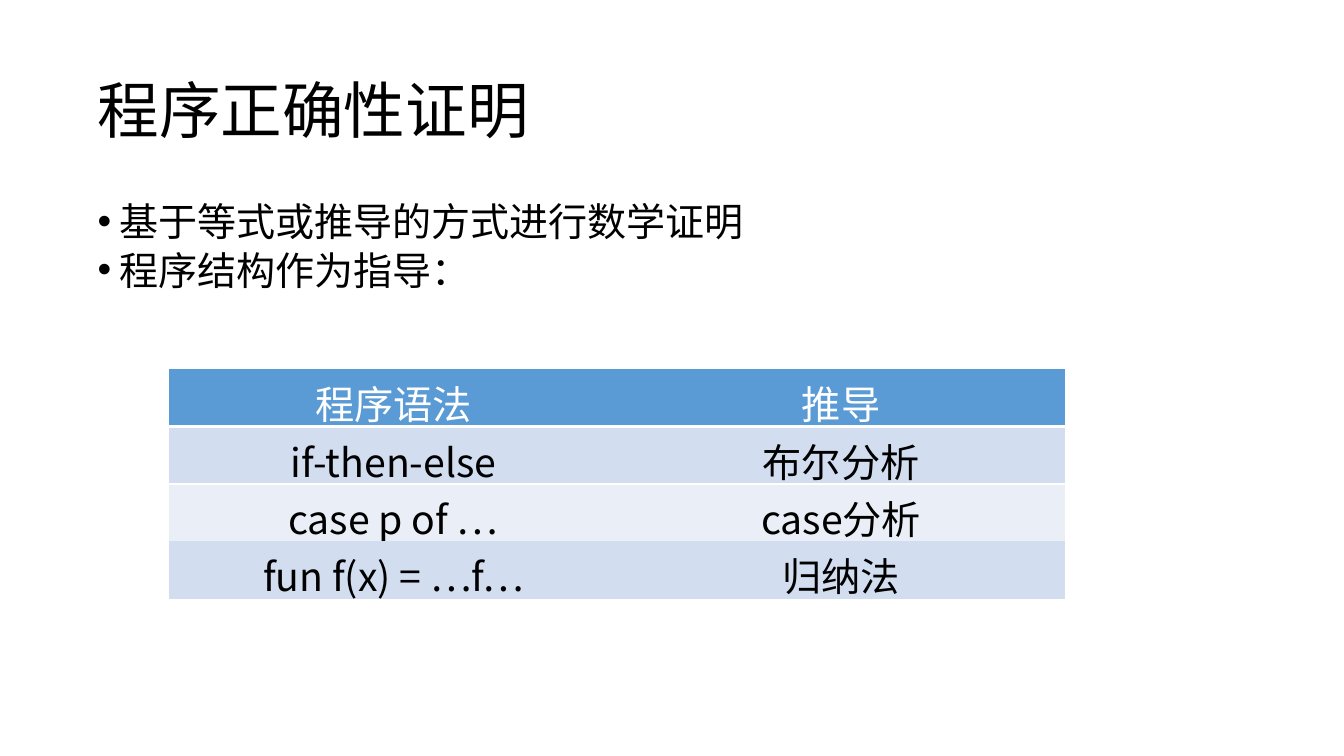
from dataclasses import dataclass

from lxml.etree import SubElement
from pptx import Presentation
from pptx.dml.color import RGBColor as Rgb
from pptx.enum.text import MSO_ANCHOR as Anchor, PP_ALIGN as Align
from pptx.oxml.ns import qn
from pptx.util import Cm, Pt


@dataclass(frozen=True)
class Theme:
    font: str = "Noto Sans CJK SC"
    ink: str = "000000"
    paper: str = "FFFFFF"
    header: str = "5B9BD5"
    bands: tuple = ("D2DEEF", "EAEFF7")
    title_size: float = 44
    body_size: float = 27.9
    table_size: float = 28
    inset: float = 0.13


class SlideBuilder:
    def __init__(self, deck, theme):
        self.theme = theme
        self.slide = deck.slides.add_slide(deck.slide_layouts[5])

    def add_run(self, paragraph, text, size, color):
        run = paragraph.add_run()
        run.text = text
        run.font.size = Pt(size)
        run.font.bold = False
        run.font.name = self.theme.font
        run.font.color.rgb = Rgb.from_string(color)
        SubElement(run.font._element, qn("a:ea"), typeface=self.theme.font)

    def set_insets(self, holder):
        holder.margin_left = holder.margin_right = Cm(self.theme.inset)
        holder.margin_top = holder.margin_bottom = Cm(self.theme.inset)

    def title(self, text, left, top, width, height):
        heading = self.slide.shapes.title
        heading.left, heading.top = Cm(left), Cm(top)
        heading.width, heading.height = Cm(width), Cm(height)
        frame = heading.text_frame
        frame.word_wrap = True
        frame.vertical_anchor = Anchor.MIDDLE
        self.set_insets(frame)
        paragraph = frame.paragraphs[0]
        paragraph.alignment = Align.LEFT
        paragraph.line_spacing = 0.9
        self.add_run(paragraph, text, self.theme.title_size, self.theme.ink)

    def bullets(self, points, left, top, width, height):
        frame = self.slide.shapes.add_textbox(
            Cm(left), Cm(top), Cm(width), Cm(height)).text_frame
        frame.word_wrap = True
        self.set_insets(frame)
        for index, point in enumerate(points):
            paragraph = frame.add_paragraph() if index else frame.paragraphs[0]
            paragraph.line_spacing = 0.8
            paragraph.space_before = Pt(8)
            self.add_run(paragraph, point, self.theme.body_size, self.theme.ink)
            # Hanging bullet
            props = paragraph._p.get_or_add_pPr()
            props.set("marL", str(Cm(0.56)))
            props.set("indent", str(-Cm(0.56)))
            SubElement(props, qn("a:buFont"), typeface="Arial")
            SubElement(props, qn("a:buChar"), char="•")

    def borders(self, cell, widths):
        """Draw the sides given in widths (points) and clear the others."""
        props = cell._tc.get_or_add_tcPr()
        for place, side in enumerate("LRTB"):
            line = SubElement(props, qn(f"a:ln{side}"))
            props.insert(place, line)
            if side in widths:
                line.set("w", str(Pt(widths[side])))
                fill = SubElement(line, qn("a:solidFill"))
                SubElement(fill, qn("a:srgbClr"), val=self.theme.paper)
            else:
                line.set("w", "0")
                SubElement(line, qn("a:noFill"))

    def table(self, rows, rules, left, top, width, row_height):
        """Fill a banded table; rules maps a row to the line width below it."""
        theme = self.theme
        grid = self.slide.shapes.add_table(
            len(rows), len(rows[0]), Cm(left), Cm(top),
            Cm(width), Cm(row_height * len(rows))).table
        grid.first_row = grid.horz_banding = False
        for r, row in enumerate(rows):
            fill = theme.bands[(r - 1) % 2] if r else theme.header
            color = theme.ink if r else theme.paper
            edges = {side: rules[line]
                     for side, line in (("T", r - 1), ("B", r)) if line in rules}
            for c, text in enumerate(row):
                cell = grid.cell(r, c)
                self.set_insets(cell)
                cell.fill.solid()
                cell.fill.fore_color.rgb = Rgb.from_string(fill)
                self.borders(cell, edges)
                paragraph = cell.text_frame.paragraphs[0]
                paragraph.alignment = Align.CENTER
                self.add_run(paragraph, text, theme.table_size, color)


def main():
    deck = Presentation()
    deck.slide_width, deck.slide_height = Cm(33.87), Cm(19.05)
    builder = SlideBuilder(deck, Theme())

    # Heading and main points
    builder.title("程序正确性证明", 2.33, 1.01, 29.21, 3.68)
    builder.bullets(["基于等式或推导的方式进行数学证明", "程序结构作为指导："],
                    2.33, 5.08, 29.21, 3.35)

    # Syntax forms and the proof technique for each
    proof_rules = [
        ("程序语法", "推导"),
        ("if-then-else", "布尔分析"),
        ("case p of …", "case分析"),
        ("fun f(x) = …f…", "归纳法"),
    ]
    builder.table(proof_rules, {0: 3, 1: 2}, 4.27, 9.3, 22.57, 1.44)

    deck.save("out.pptx")


if __name__ == "__main__":
    main()
